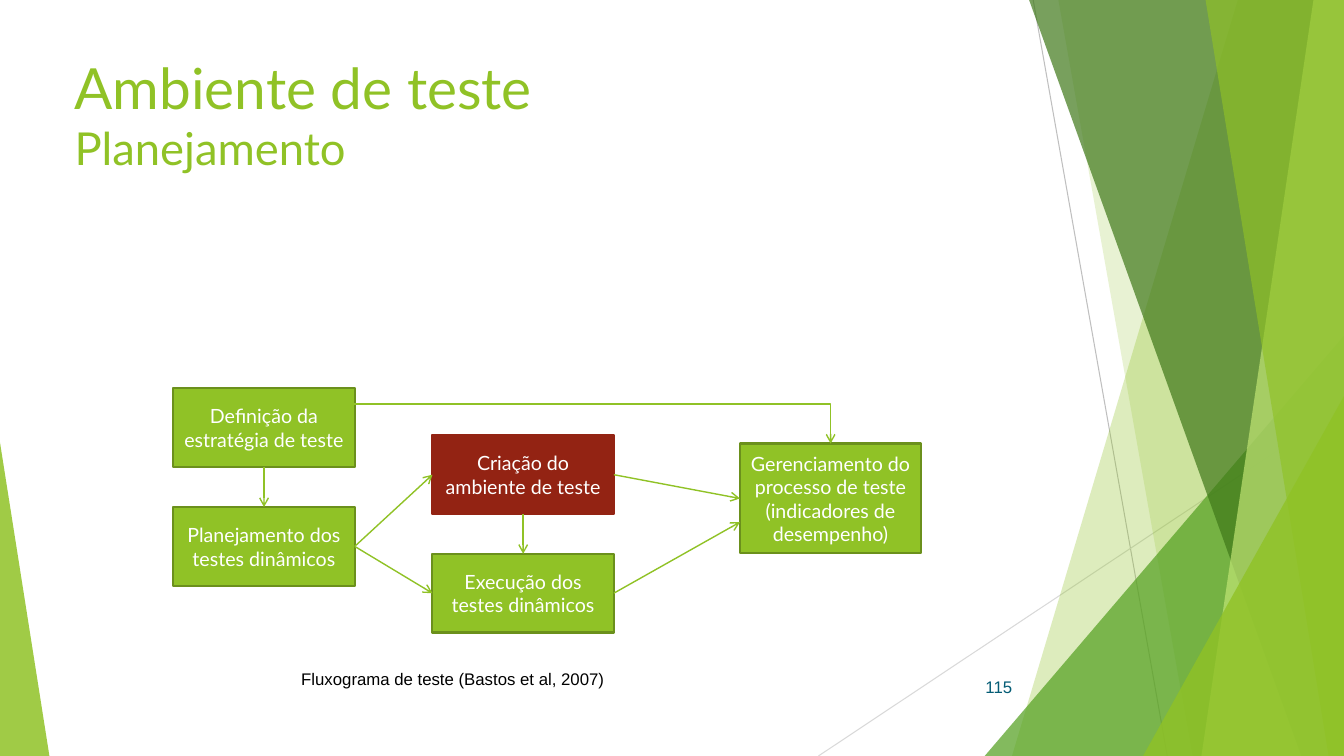
from dataclasses import dataclass
from typing import Any, NamedTuple

from lxml import etree
from pptx import Presentation
from pptx.dml.color import RGBColor
from pptx.enum.shapes import MSO_CONNECTOR, MSO_SHAPE
from pptx.enum.text import MSO_ANCHOR, MSO_AUTO_SIZE, PP_ALIGN
from pptx.oxml.ns import qn
from pptx.util import Pt

STRAIGHT, ELBOW = MSO_CONNECTOR.STRAIGHT, MSO_CONNECTOR.ELBOW
RECTANGLE, TRIANGLE = MSO_SHAPE.RECTANGLE, MSO_SHAPE.ISOSCELES_TRIANGLE
TOP, MIDDLE = MSO_ANCHOR.TOP, MSO_ANCHOR.MIDDLE
LEFT, CENTER, RIGHT = PP_ALIGN.LEFT, PP_ALIGN.CENTER, PP_ALIGN.RIGHT
NO_FIT = MSO_AUTO_SIZE.NONE
SIDE_TOP, SIDE_LEFT, SIDE_BOTTOM, SIDE_RIGHT = range(4)
WIDTH, HEIGHT = 960, 540


@dataclass(frozen=True)
class Theme:
    green: str = "90C226"
    leaf: str = "54A021"
    forest: str = "3F7819"
    lime: str = "C0E474"
    border: str = "6B901C"
    red: str = "932313"
    white: str = "FFFFFF"
    black: str = "000000"
    number: str = "045C75"
    rule: str = "BFBFBF"
    pale_rule: str = "D9D9D9"
    heading_font: str = "Lato"
    caption_font: str = "Arial"
    title_size: float = 40.5
    subtitle_size: float = 32.4
    box_size: float = 14
    caption_size: float = 12


THEME = Theme()


class Band(NamedTuple):
    """Strip reaching the right slide edge, between a top and a bottom x."""
    top_left: float
    bottom_left: float
    color: str
    opacity: int


class Corner(NamedTuple):
    """Right triangle in a lower corner of the slide."""
    left: float
    width: float
    height: float
    apex: float
    color: str
    opacity: int


class Box(NamedTuple):
    text: str
    left: float
    top: float
    height: float = 56.2
    fill: str = THEME.green
    border: str = THEME.border


class Arrow(NamedTuple):
    source: str
    source_side: int
    target: str
    target_side: int


FACETS = [
    Band(884.2, 722.9, THEME.green, 30),
    Band(756, 851.8, THEME.green, 20),
    Corner(703.4, 256.6, 300.2, 1, THEME.leaf, 72),
    Band(735.1, 929.5, THEME.forest, 70),
    Band(938.2, 858.2, THEME.lime, 70),
    Band(861.1, 949, THEME.green, 65),
    Corner(816.5, 143.5, 257, 1, THEME.green, 80),
    Corner(0, 35.3, 223.9, 0, THEME.green, 85),
]
BOX_WIDTH = 129.6
BOXES = {
    "strategy": Box("Definição da estratégia de teste", 123.8, 277.2),
    "planning": Box("Planejamento dos testes dinâmicos", 123.8, 362.2),
    "environment": Box("Criação do ambiente de teste", 308.9, 311,
                       fill=THEME.red, border=THEME.red),
    "execution": Box("Execução dos testes dinâmicos", 308.9, 395.6),
    "management": Box("Gerenciamento do processo de teste "
                      "(indicadores de desempenho)", 528.5, 316.8, 78.5),
}
ARROWS = [
    Arrow("strategy", SIDE_BOTTOM, "planning", SIDE_TOP),
    Arrow("planning", SIDE_RIGHT, "environment", SIDE_LEFT),
    Arrow("planning", SIDE_RIGHT, "execution", SIDE_LEFT),
    Arrow("environment", SIDE_BOTTOM, "execution", SIDE_TOP),
    Arrow("environment", SIDE_RIGHT, "management", SIDE_LEFT),
]


def set_attrs(target: Any, **values: Any) -> None:
    for name, value in values.items():
        setattr(target, name, value)


def add_run(p: Any, text: str, font: str, size: float, color: str) -> None:
    r = p.add_run()
    r.text = text
    set_attrs(r.font, name=font, size=Pt(size))
    r.font.color.rgb = RGBColor.from_string(color)


def set_fill(sp: Any, color: str, opacity: int = 100) -> None:
    sp.shadow.inherit = False
    sp.fill.solid()
    sp.fill.fore_color.rgb = RGBColor.from_string(color)
    if opacity < 100:
        clr = sp.fill._xPr.find(qn("a:solidFill"))[0]
        etree.SubElement(clr, qn("a:alpha"), val=str(opacity * 1000))


def set_line(sp: Any, color: str, width: float) -> None:
    sp.line.color.rgb = RGBColor.from_string(color)
    sp.line.width = Pt(width)


def add_line(slide: Any, start: tuple[float, float], end: tuple[float, float],
             color: str, width: float, kind: Any = STRAIGHT, arrow: bool = False) -> Any:
    cxn = slide.shapes.add_connector(kind, *map(Pt, start + end))
    set_line(cxn, color, width)
    if arrow:
        etree.SubElement(cxn.line._get_or_add_ln(), qn("a:tailEnd"), type="arrow")
    etree.SubElement(cxn._element.spPr, qn("a:effectLst"))
    return cxn


def add_facet(slide: Any, facet: Band | Corner) -> None:
    if isinstance(facet, Band):
        fb = slide.shapes.build_freeform(Pt(facet.top_left), 0)
        fb.add_line_segments([(Pt(WIDTH), 0), (Pt(WIDTH), Pt(HEIGHT)),
                              (Pt(facet.bottom_left), Pt(HEIGHT))])
        sp = fb.convert_to_shape()
    else:
        sp = slide.shapes.add_shape(TRIANGLE, Pt(facet.left), Pt(HEIGHT - facet.height),
                                    Pt(facet.width), Pt(facet.height))
        sp.adjustments[0] = facet.apex
    set_fill(sp, facet.color, facet.opacity)
    sp.line.fill.background()


def add_box(slide: Any, box: Box) -> Any:
    sp = slide.shapes.add_shape(RECTANGLE, Pt(box.left), Pt(box.top),
                                Pt(BOX_WIDTH), Pt(box.height))
    set_fill(sp, box.fill)
    set_line(sp, box.border, 1.5)
    set_attrs(sp.text_frame, word_wrap=True, vertical_anchor=MIDDLE)
    p = sp.text_frame.paragraphs[0]
    p.alignment = CENTER
    add_run(p, box.text, THEME.heading_font, THEME.box_size, THEME.white)
    return sp


def add_caption(slide: Any, text: str, frame: tuple[float, float, float, float],
                color: str, align: Any, anchor: Any) -> None:
    tb = slide.shapes.add_textbox(*map(Pt, frame))
    set_attrs(tb.text_frame, word_wrap=True, vertical_anchor=anchor)
    p = tb.text_frame.paragraphs[0]
    p.alignment = align
    add_run(p, text, THEME.caption_font, THEME.caption_size, color)


def add_title(slide: Any) -> None:
    title = slide.shapes.title
    set_attrs(title, left=Pt(46.1), top=Pt(33.8), width=Pt(684), height=Pt(90))
    set_attrs(title.text_frame, word_wrap=True, auto_size=NO_FIT, vertical_anchor=TOP)
    p = title.text_frame.paragraphs[0]
    p.alignment = LEFT
    add_run(p, "Ambiente de teste", THEME.heading_font, THEME.title_size, THEME.green)
    p.add_line_break()
    add_run(p, "Planejamento", THEME.heading_font, THEME.subtitle_size, THEME.green)


def add_flowchart(slide: Any) -> None:
    nodes = {name: add_box(slide, box) for name, box in BOXES.items()}
    for arrow in ARROWS:
        cxn = add_line(slide, (0, 0), (1, 1), THEME.green, 1, arrow=True)
        cxn.begin_connect(nodes[arrow.source], arrow.source_side)
        cxn.end_connect(nodes[arrow.target], arrow.target_side)
    management = BOXES["management"]
    cxn = add_line(slide, (438.5, 423.7), (management.left, 373), THEME.green, 1, arrow=True)
    cxn.begin_connect(nodes["execution"], SIDE_RIGHT)
    elbow = add_line(slide, (247, 288.7), (management.left + BOX_WIDTH / 2, management.top),
                     THEME.green, 1, ELBOW, arrow=True)
    elbow._element.spPr.find(qn("a:prstGeom")).set("prst", "bentConnector2")


def main() -> None:
    prs = Presentation()
    set_attrs(prs, slide_width=Pt(WIDTH), slide_height=Pt(HEIGHT))
    slide = prs.slides.add_slide(prs.slide_layouts[5])
    add_line(slide, (738, 0), (833.8, HEIGHT), THEME.rule, 0.75)
    add_line(slide, (WIDTH, 290.2), (584.6, HEIGHT), THEME.pale_rule, 0.75)
    for facet in FACETS:
        add_facet(slide, facet)
    add_title(slide)
    add_caption(slide, "115", (676.1, 475.9, 54, 28.8), THEME.number, RIGHT, MIDDLE)
    add_flowchart(slide)
    add_caption(slide, "Fluxograma de teste (Bastos et al, 2007)",
                (208.1, 474.5, 360, 21.6), THEME.black, LEFT, TOP)
    prs.save("out.pptx")


if __name__ == "__main__":
    main()
